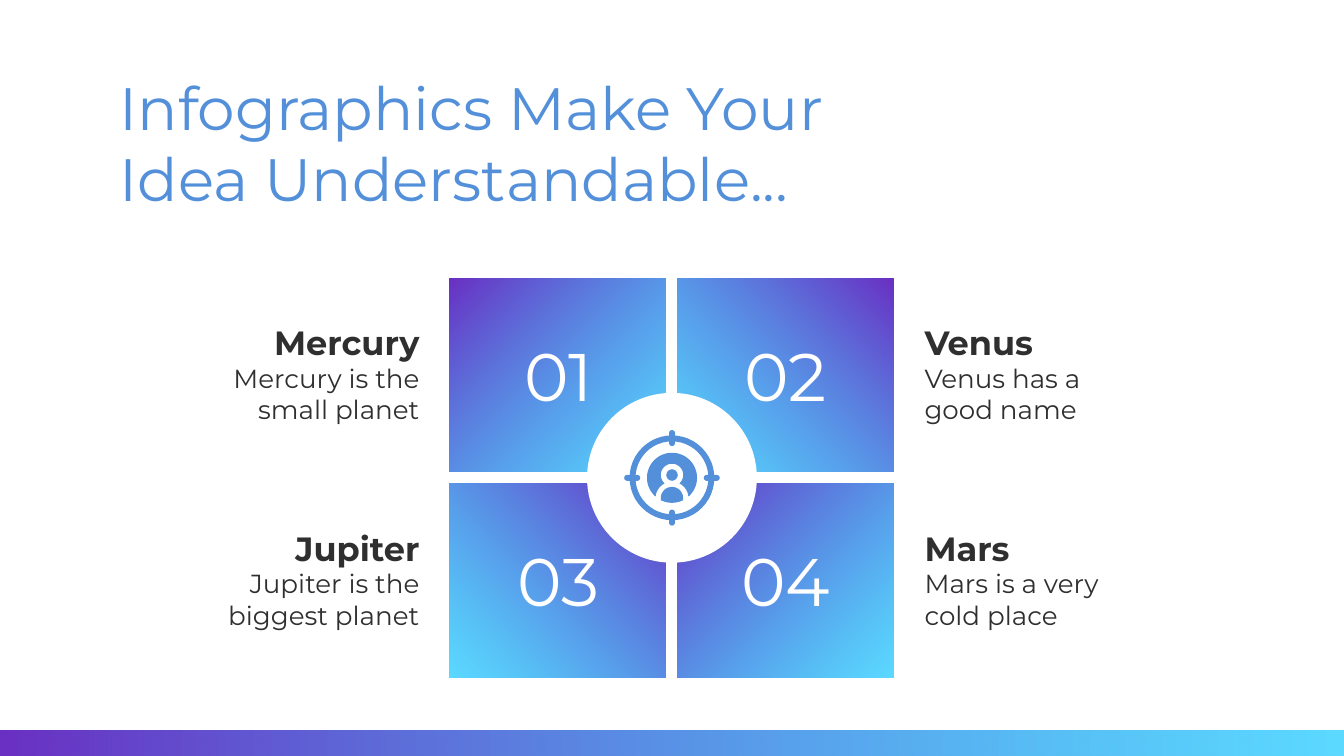
from dataclasses import dataclass
from math import cos, radians, sin

from lxml.etree import SubElement
from pptx import Presentation
from pptx.dml.color import RGBColor
from pptx.enum.shapes import MSO_SHAPE as Shape
from pptx.enum.text import MSO_ANCHOR as Anchor, PP_ALIGN as Align
from pptx.oxml.ns import qn
from pptx.util import Pt


@dataclass(frozen=True)
class Theme:
    font: str = "Montserrat"
    blue: str = "5390D9"
    ink: str = "2F2F2F"
    white: str = "FFFFFF"
    grad_start: str = "6930C3"
    grad_end: str = "00C4FF"
    end_alpha: int = 64
    title: int = 32
    number: int = 36
    heading: int = 18
    body: int = 14


THEME = Theme()
WIDTH, HEIGHT = 720, 405
CENTER_X, CENTER_Y = 360, 256
TILE_W, TILE_H, GAP = 115.7, 103.7, 6.4

# Number, heading, description, row, column, corner where the gradient starts
PLANETS = [
    ("01", "Mercury", "Mercury is the small planet", 0, 0, "left"),
    ("02", "Venus", "Venus has a good name", 0, 1, "right"),
    ("03", "Jupiter", "Jupiter is the biggest planet", 1, 0, "right"),
    ("04", "Mars", "Mars is a very cold place", 1, 1, "left"),
]


def add_text(page, text, frame, size, color, align=Align.LEFT,
             anchor=Anchor.MIDDLE, bold=False):
    box = page.shapes.add_textbox(*map(Pt, frame))
    text_frame = box.text_frame
    text_frame.word_wrap = True
    text_frame.vertical_anchor = anchor
    for side in ("left", "top", "right", "bottom"):
        setattr(text_frame, f"margin_{side}", Pt(7.2))
    para = text_frame.paragraphs[0]
    para.alignment = align
    span = para.add_run()
    span.text = text
    span.font.name = THEME.font
    span.font.size = Pt(size)
    span.font.bold = bold
    span.font.color.rgb = RGBColor.from_string(color)


def paint(shape, color):
    shape.shadow.inherit = False
    shape.line.fill.background()
    shape.fill.solid()
    shape.fill.fore_color.rgb = RGBColor.from_string(color)


def add_centered(page, kind, x, y, width, height, color):
    shape = page.shapes.add_shape(
        kind, Pt(x - width / 2), Pt(y - height / 2), Pt(width), Pt(height))
    paint(shape, color)
    return shape


def add_gradient_box(page, frame, corner=None):
    """Linear from left to right, or radial from the named top corner."""
    shape = page.shapes.add_shape(Shape.RECTANGLE, *map(Pt, frame))
    paint(shape, THEME.grad_start)
    solid = shape._element.spPr.find(qn("a:solidFill"))
    gradient = solid.makeelement(qn("a:gradFill"), {"rotWithShape": "1"})
    solid.getparent().replace(solid, gradient)

    stops = SubElement(gradient, qn("a:gsLst"))
    for position, color, alpha in ((0, THEME.grad_start, 100),
                                   (100, THEME.grad_end, THEME.end_alpha)):
        stop = SubElement(stops, qn("a:gs"), pos=str(position * 1000))
        tint = SubElement(stop, qn("a:srgbClr"), val=color)
        if alpha < 100:
            SubElement(tint, qn("a:alpha"), val=str(alpha * 1000))

    if corner is None:
        SubElement(gradient, qn("a:lin"), ang="0", scaled="0")
    else:
        focus = {"b": "100000", "r" if corner == "left" else "l": "100000"}
        radial = SubElement(gradient, qn("a:path"), path="circle")
        SubElement(radial, qn("a:fillToRect"), **focus)


def arc(offset_y, radius, start, end, steps=24):
    """Points of an arc whose centre lies offset_y below the icon centre."""
    angles = [radians(start + (end - start) * i / steps)
              for i in range(steps + 1)]
    return [(Pt(CENTER_X + radius * cos(angle)),
             Pt(CENTER_Y + offset_y + radius * sin(angle)))
            for angle in angles]


def add_outline(page, points, color):
    builder = page.shapes.build_freeform(*points[0])
    builder.add_line_segments(points[1:], close=True)
    paint(builder.convert_to_shape(), color)


def add_target_icon(page):
    # Ring with four marks
    ring = add_centered(page, Shape.DONUT, CENTER_X, CENTER_Y,
                        45.4, 45.4, THEME.blue)
    ring.adjustments[0] = 0.07
    for dx, dy in ((0, -1), (1, 0), (0, 1), (-1, 0)):
        width, height = (8.6, 3.2) if dx else (3.2, 8.6)
        mark = add_centered(page, Shape.ROUNDED_RECTANGLE,
                            CENTER_X + 21.3 * dx, CENTER_Y + 21.3 * dy,
                            width, height, THEME.blue)
        mark.adjustments[0] = 0.5

    # Disk with the person cut out, then the person
    head_y, shoulder_y, disk = -1.5, 10.9, 13.4
    add_outline(page, arc(0, disk, 132, 408, 60)
                + arc(shoulder_y, 8.8, -8, -62)
                + arc(head_y, 6, 48, -228, 48)
                + arc(shoulder_y, 8.8, -118, -172), THEME.blue)
    add_outline(page, arc(shoulder_y, 6, 170, 370)
                + arc(0, disk, 63, 117), THEME.blue)
    add_centered(page, Shape.OVAL, CENTER_X, CENTER_Y + head_y,
                 6.2, 6.2, THEME.blue)


def add_planet(page, number, heading, description, row, column, corner):
    # Tile and its number
    left = CENTER_X - GAP / 2 - TILE_W + column * (TILE_W + GAP)
    drop = row * (TILE_H + GAP)
    top = CENTER_Y - GAP / 2 - TILE_H + drop
    add_gradient_box(page, (left, top, TILE_W, TILE_H), corner)
    add_text(page, number, (257.8 + 121.6 * column, 161.3 + drop, 82.8, 78.5),
             THEME.number, THEME.white, Align.CENTER)

    # Label beside the tile
    label_left = 488.2 if column else 113.8
    align = Align.LEFT if column else Align.RIGHT
    add_text(page, heading, (label_left, 168.5 + drop, 118.1, 29.5),
             THEME.heading, THEME.ink, align, bold=True)
    add_text(page, description, (label_left, 190.8 + drop, 118.1, 40.3),
             THEME.body, THEME.ink, align)


def main():
    deck = Presentation()
    deck.slide_width, deck.slide_height = Pt(WIDTH), Pt(HEIGHT)
    page = deck.slides.add_slide(deck.slide_layouts[6])

    # Footer bar and title
    add_gradient_box(page, (0, 391.5, WIDTH, 13.5))
    add_text(page, "Infographics Make Your Idea Understandable...",
             (57, 30.5, 455, 90), THEME.title, THEME.blue, anchor=Anchor.TOP)

    # Four tiles around the hub
    for planet in PLANETS:
        add_planet(page, *planet)
    add_centered(page, Shape.OVAL, CENTER_X, CENTER_Y, 91, 91, THEME.white)
    add_target_icon(page)

    deck.save("out.pptx")


if __name__ == "__main__":
    main()
